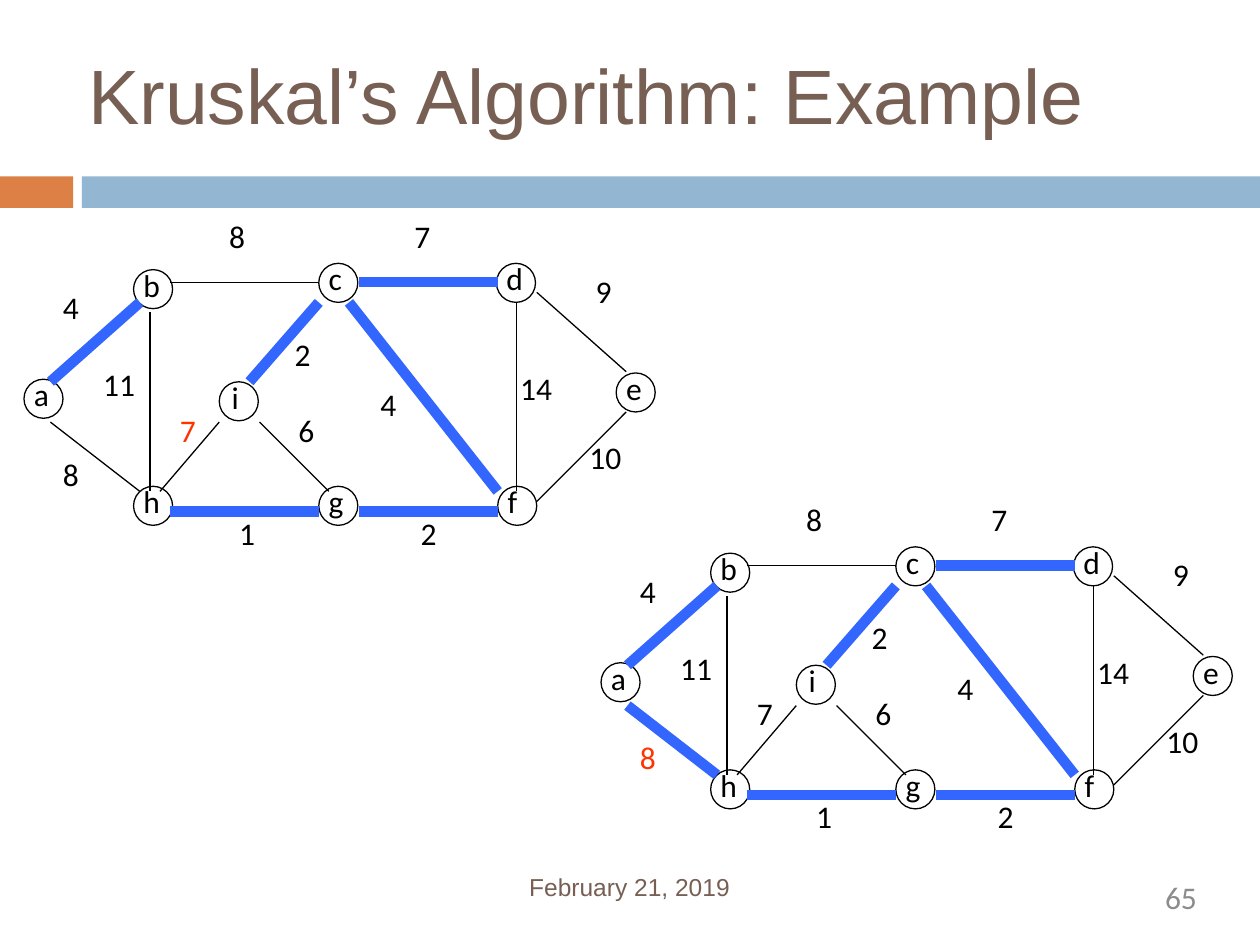
from dataclasses import dataclass

from lxml.etree import SubElement
from pptx import Presentation
from pptx.dml.color import RGBColor
from pptx.enum.shapes import MSO_CONNECTOR, MSO_SHAPE
from pptx.enum.text import MSO_AUTO_SIZE, PP_ALIGN
from pptx.oxml.ns import qn
from pptx.shapes.shapetree import GroupShapes, SlideShapes
from pptx.util import Emu, Pt

EMU_PER_PX = 9144
DIAMETER = 31


@dataclass(frozen=True)
class Theme:
    heading: str = "Arial"
    body: str = "Calibri"
    brown: str = "775F54"
    orange: str = "DD8046"
    sky: str = "93B6D2"
    black: str = "000000"
    grey: str = "8C8C8C"
    tree: str = "3366FF"
    candidate: str = "FF3300"
    title_size: int = 44
    body_size: int = 18
    date_size: int = 14
    thin: float = 0.75
    thick: float = 6


@dataclass(frozen=True)
class Node:
    name: str
    x: int
    y: int
    text_width: int
    text_dx: int = -2
    wrap: bool = False


@dataclass(frozen=True)
class Edge:
    name: str
    start: tuple[int, int]
    end: tuple[int, int]
    weight: int
    label: tuple[int, int]


@dataclass(frozen=True)
class Step:
    dx: int
    dy: int
    tree: frozenset[str]
    candidate: str


THEME = Theme()
NODES = (
    Node("a", 19, 301, 32),
    Node("b", 106, 214, 34),
    Node("h", 106, 386, 34),
    Node("c", 253, 209, 32),
    Node("d", 394, 209, 34),
    Node("e", 489, 296, 32),
    Node("f", 395, 386, 29),
    Node("g", 253, 386, 34),
    Node("i", 174, 303, 28, 0, True),
)
EDGES = (
    Edge("ab", (40, 303), (111, 240), 4, (40, 224)),
    Edge("ah", (40, 335), (111, 390), 8, (40, 356)),
    Edge("bh", (119, 248), (119, 390), 11, (72, 285)),
    Edge("bc", (135, 224), (253, 224), 8, (172, 167)),
    Edge("hg", (135, 406), (253, 406), 1, (180, 403)),
    Edge("gf", (285, 406), (395, 406), 2, (324, 403)),
    Edge("cf", (277, 240), (395, 390), 4, (292, 301)),
    Edge("cd", (285, 224), (395, 224), 7, (319, 167)),
    Edge("df", (410, 240), (410, 390), 14, (403, 288)),
    Edge("de", (426, 232), (497, 295), 9, (463, 211)),
    Edge("fe", (426, 398), (497, 327), 10, (458, 343)),
    Edge("ig", (206, 335), (261, 390), 6, (227, 321)),
    Edge("hi", (127, 390), (174, 335), 7, (133, 321)),
    Edge("ic", (198, 303), (253, 240), 2, (224, 261)),
)
FIRST_TREE = frozenset({"ab", "hg", "gf", "cf", "cd", "ic"})
STEPS = (
    Step(458, 225, FIRST_TREE | {"ah"}, "ah"),
    Step(0, 0, FIRST_TREE, "hi"),
)


def px(n: int) -> Emu:
    """Turn px into EMU."""
    return Emu(n * EMU_PER_PX)


def add_text(shapes: SlideShapes | GroupShapes, text: str, box: tuple[int, int, int, int],
             color: str = THEME.black, size: int = THEME.body_size, font: str = THEME.body,
             align: PP_ALIGN = PP_ALIGN.LEFT, inset: bool = True, wrap: bool = False) -> None:
    """Add one line of text in a box of left, top, width and height."""
    tf = shapes.add_textbox(*map(px, box)).text_frame
    tf.text = text
    tf.word_wrap = wrap
    tf.auto_size = MSO_AUTO_SIZE.SHAPE_TO_FIT_TEXT
    if not inset:
        tf.margin_left = tf.margin_top = tf.margin_right = tf.margin_bottom = 0
    p = tf.paragraphs[0]
    p.alignment = align
    r = p.runs[0]
    r.font.name = font
    r.font.size = Pt(size)
    r.font.color.rgb = RGBColor.from_string(color)


def add_bar(shapes: SlideShapes, left: int, width: int, color: str) -> None:
    """Add one part of the band under the title."""
    sp = shapes.add_shape(MSO_SHAPE.RECTANGLE, px(left), px(140), px(width), px(25))
    sp.shadow.inherit = False
    sp.fill.solid()
    sp.fill.fore_color.rgb = RGBColor.from_string(color)
    sp.line.fill.background()


def add_node(shapes: GroupShapes, node: Node, step: Step) -> None:
    """Add a node's letter and its circle."""
    x, y = node.x + step.dx, node.y + step.dy
    add_text(shapes, node.name, (x + node.text_dx, y - 8, node.text_width, 43), wrap=node.wrap)
    sp = shapes.add_shape(MSO_SHAPE.OVAL, px(x), px(y), px(DIAMETER), px(DIAMETER))
    sp.shadow.inherit = False
    sp.fill.background()
    sp.line.color.rgb = RGBColor.from_string(THEME.black)
    sp.line.width = Pt(THEME.thin)


def add_edge(shapes: GroupShapes, edge: Edge, step: Step) -> None:
    """Add an edge, thick and blue when it is in the tree."""
    in_tree = edge.name in step.tree
    ends = [px(n + d) for point in (edge.start, edge.end)
            for n, d in zip(point, (step.dx, step.dy))]
    cxn = shapes.add_connector(MSO_CONNECTOR.STRAIGHT, *ends)
    cxn.line.color.rgb = RGBColor.from_string(THEME.tree if in_tree else THEME.black)
    cxn.line.width = Pt(THEME.thick if in_tree else THEME.thin)
    SubElement(cxn.element.spPr, qn("a:effectLst"))


def add_weight(shapes: GroupShapes, edge: Edge, step: Step) -> None:
    """Add an edge's weight, red for the candidate edge."""
    x, y = edge.label
    width = 37 if edge.weight < 10 else 53
    color = THEME.candidate if edge.name == step.candidate else THEME.black
    add_text(shapes, str(edge.weight), (x + step.dx, y + step.dy, width, 50), color)


def add_graph(shapes: SlideShapes, step: Step) -> None:
    """Add the whole graph as one group for a step of the algorithm."""
    group = shapes.add_group_shape().shapes
    for node in NODES:
        add_node(group, node, step)
    for edge in EDGES:
        add_edge(group, edge, step)
    for edge in EDGES:
        add_weight(group, edge, step)


def main() -> None:
    """Build and save the slide."""
    prs = Presentation()
    prs.slide_width, prs.slide_height = px(1000), px(750)
    s = prs.slides.add_slide(prs.slide_layouts[6])
    add_bar(s.shapes, 0, 58, THEME.orange)
    add_bar(s.shapes, 65, 935, THEME.sky)
    add_text(s.shapes, "Kruskal’s Algorithm: Example", (70, 38, 860, 76), THEME.brown,
             THEME.title_size, THEME.heading, inset=False, wrap=True)
    add_text(s.shapes, "February 21, 2019", (420, 692, 231, 24), THEME.brown,
             THEME.date_size, THEME.heading, inset=False, wrap=True)
    add_text(s.shapes, "65", (720, 697, 230, 38), THEME.grey,
             align=PP_ALIGN.RIGHT, inset=False, wrap=True)
    for step in STEPS:
        add_graph(s.shapes, step)
    prs.save("out.pptx")


if __name__ == "__main__":
    main()
